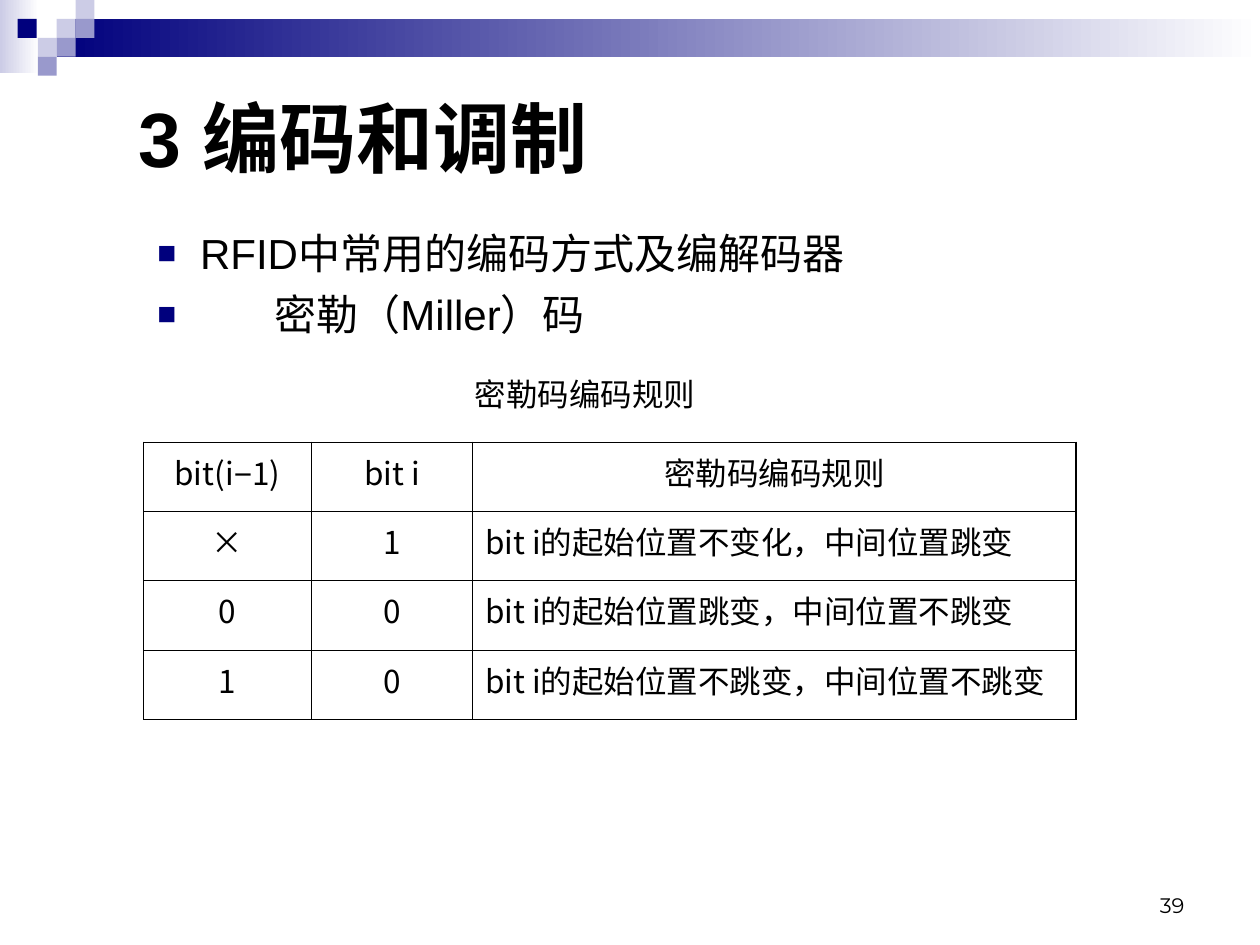
from dataclasses import dataclass
from typing import Any

import pptx
import pptx.dml.color
import pptx.enum.shapes
import pptx.enum.text
import pptx.oxml
import pptx.oxml.ns
import pptx.util
from lxml import etree

Inches = pptx.util.Inches
Pt = pptx.util.Pt
Align = pptx.enum.text.PP_ALIGN
Anchor = pptx.enum.text.MSO_ANCHOR
qn = pptx.oxml.ns.qn


@dataclass(frozen=True)
class Theme:
    navy: str = "00007D"
    mid: str = "9999CC"
    pale: str = "CCCCE6"
    white: str = "FFFFFF"
    black: str = "000000"
    sans: str = "Arial"
    serif: str = "Times New Roman"
    latin: str = "Noto Sans CJK KR"
    han: str = "Noto Sans CJK SC"
    digit: str = "Montserrat"
    title: int = 44
    body: int = 24
    cell: int = 18
    page: int = 12
    outer: float = 0.75
    inner: float = 0.45


@dataclass(frozen=True)
class Box:
    left: float
    top: float
    width: float
    height: float

    def place(self) -> tuple:
        return tuple(Inches(n) for n in (self.left, self.top, self.width, self.height))


@dataclass(frozen=True)
class Run:
    text: str
    font: str


@dataclass(frozen=True)
class Bullet:
    text: str
    margin: float
    before: int


@dataclass(frozen=True)
class Tile:
    left: float
    row: int
    color: str


T = Theme()
STEP = 0.15
MARK = 0.12
BANDS = [
    (Box(0, 0, 0.31, 0.58), T.pale),
    (Box(0.45, STEP, 9.55, 0.3), T.navy),
]
TILES = [
    Tile(0.45, 1, T.pale),
    Tile(0.6, 0, T.pale),
    Tile(0.6, 1, T.mid),
    Tile(0.3, 2, T.pale),
    Tile(0.14, 1, T.navy),
    Tile(0.45, 2, T.mid),
    Tile(0.3, 3, T.mid),
]
BULLETS = [
    Bullet("RFID中常用的编码方式及编解码器", 0.46, 0),
    Bullet("密勒（Miller）码", 1.05, 6),
]
HEAD = [
    [Run("bit(i", T.latin), Run("−", T.sans), Run("1)", T.latin)],
    [Run("bit i", T.latin)],
    [Run("密勒码编码规则", T.han)],
]
RULES = [
    ("×", "1", "的起始位置不变化，中间位置跳变"),
    ("0", "0", "的起始位置跳变，中间位置不跳变"),
    ("1", "0", "的起始位置不跳变，中间位置不跳变"),
]
COLS = [1.33, 1.28, 4.79]
ROW = 0.55


def rgb(color: str) -> Any:
    return pptx.dml.color.RGBColor.from_string(color)


def write(para: Any, run: Run, size: int, bold: bool = False) -> None:
    item = para.add_run()
    item.text = run.text
    font = item.font
    font.name, font.size, font.bold = run.font, Pt(size), bold
    font.color.rgb = rgb(T.black)
    east = etree.SubElement(font._element, qn("a:ea"))
    east.set("typeface", T.han)


def block(slide: Any, box: Box) -> Any:
    shape = slide.shapes.add_shape(pptx.enum.shapes.MSO_SHAPE.RECTANGLE, *box.place())
    shape.shadow.inherit = False
    shape.line.fill.background()
    return shape


def band(slide: Any, box: Box, color: str) -> None:
    fill = block(slide, box).fill
    fill.gradient()
    fill.gradient_angle = 0
    for stop, (spot, tone) in zip(fill.gradient_stops, [(0, color), (1, T.white)]):
        stop.position = spot
        stop.color.rgb = rgb(tone)


def tile(slide: Any, item: Tile) -> None:
    fill = block(slide, Box(item.left, item.row * STEP, STEP, STEP)).fill
    fill.solid()
    fill.fore_color.rgb = rgb(item.color)


def label(slide: Any, box: Box, run: Run, size: int, align: Any, anchor: Any, wrap: bool) -> None:
    frame = slide.shapes.add_textbox(*box.place()).text_frame
    frame.word_wrap = wrap
    frame.vertical_anchor = anchor
    para = frame.paragraphs[0]
    para.alignment = align
    write(para, run, size)


def bullets(slide: Any, box: Box, items: list[Bullet]) -> None:
    frame = slide.shapes.add_textbox(*box.place()).text_frame
    frame.word_wrap = True
    for i, item in enumerate(items):
        para = frame.add_paragraph() if i else frame.paragraphs[0]
        para.line_spacing = Pt(29)
        para.space_before = Pt(item.before)
        props = para._p.get_or_add_pPr()
        props.set("marL", str(Inches(item.margin)))
        props.set("indent", str(Inches(MARK - item.margin)))
        tone = etree.SubElement(props, qn("a:buClr"))
        etree.SubElement(tone, qn("a:srgbClr")).set("val", T.navy)
        etree.SubElement(props, qn("a:buSzPct")).set("val", "75000")
        etree.SubElement(props, qn("a:buFont")).set("typeface", T.sans)
        etree.SubElement(props, qn("a:buChar")).set("char", "■")
        write(para, Run(item.text, T.sans), T.body)


def border(cell: Any, edges: dict[str, bool]) -> None:
    props = cell._tc.get_or_add_tcPr()
    for side, outer in edges.items():
        line = etree.SubElement(props, qn(f"a:ln{side}"))
        line.set("w", str(Pt(T.outer if outer else T.inner)))
        fill = etree.SubElement(line, qn("a:solidFill"))
        etree.SubElement(fill, qn("a:srgbClr")).set("val", T.black)


def grid(slide: Any, left: float, top: float) -> None:
    rows = [HEAD] + [
        [[Run(a, T.latin)], [Run(b, T.latin)], [Run("bit i", T.latin), Run(rule, T.serif)]]
        for a, b, rule in RULES
    ]
    box = Box(left, top, sum(COLS), ROW * len(rows))
    table = slide.shapes.add_table(len(rows), len(COLS), *box.place()).table
    table.first_row = table.horz_banding = False
    for col, width in zip(table.columns, COLS):
        col.width = Inches(width)
    for r, row in enumerate(rows):
        table.rows[r].height = Inches(ROW)
        for c, runs in enumerate(row):
            cell = table.cell(r, c)
            last = c == len(COLS) - 1
            border(cell, {"L": c == 0, "R": last, "T": r == 0, "B": r == len(rows) - 1})
            cell.fill.background()
            para = cell.text_frame.paragraphs[0]
            para.alignment = Align.LEFT if r and last else Align.CENTER
            for run in runs:
                write(para, run, T.cell)


def main() -> None:
    deck = pptx.Presentation()
    deck.slide_width, deck.slide_height = Inches(10), Inches(7.5)
    slide = deck.slides.add_slide(deck.slide_layouts[5])
    for box, color in BANDS:
        band(slide, box, color)
    for item in TILES:
        tile(slide, item)
    title = slide.shapes.title
    title.left, title.top, title.width, title.height = Box(1, 0.67, 7.27, 0.83).place()
    title.text_frame.vertical_anchor = Anchor.MIDDLE
    para = title.text_frame.paragraphs[0]
    para.alignment = Align.LEFT
    write(para, Run("3 编码和调制", T.sans), T.title, True)
    bullets(slide, Box(1.03, 1.75, 6.09, 4.67), BULLETS)
    grid(slide, 1.14, 3.51)
    label(slide, Box(7.17, 6.83, 2.33, 0.5), Run("39", T.digit), T.page, Align.RIGHT, Anchor.BOTTOM, True)
    label(slide, Box(3.67, 2.93, 2, 0.4), Run("密勒码编码规则", T.sans), T.cell, Align.LEFT, Anchor.MIDDLE, False)
    deck.save("out.pptx")


if __name__ == "__main__":
    main()
